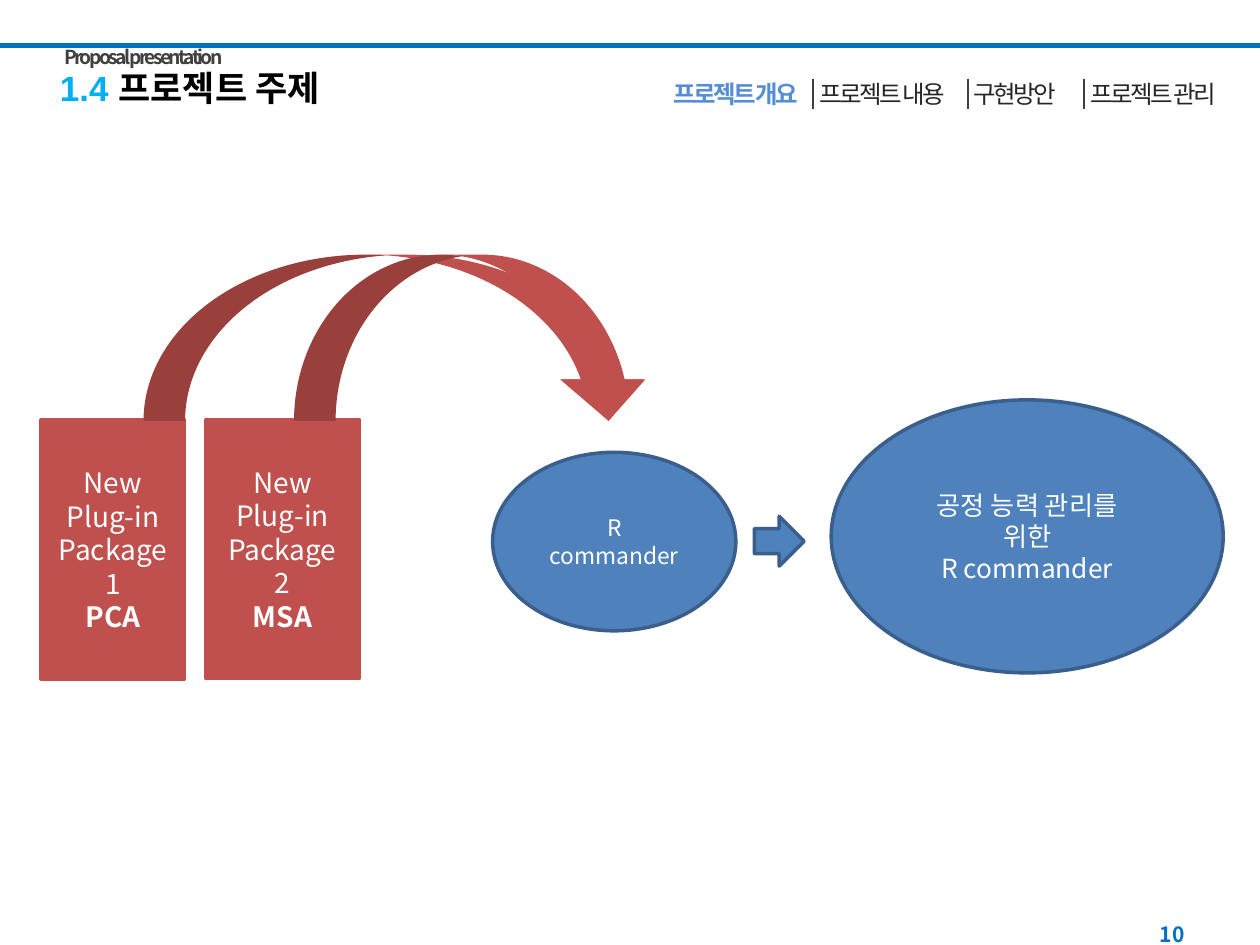
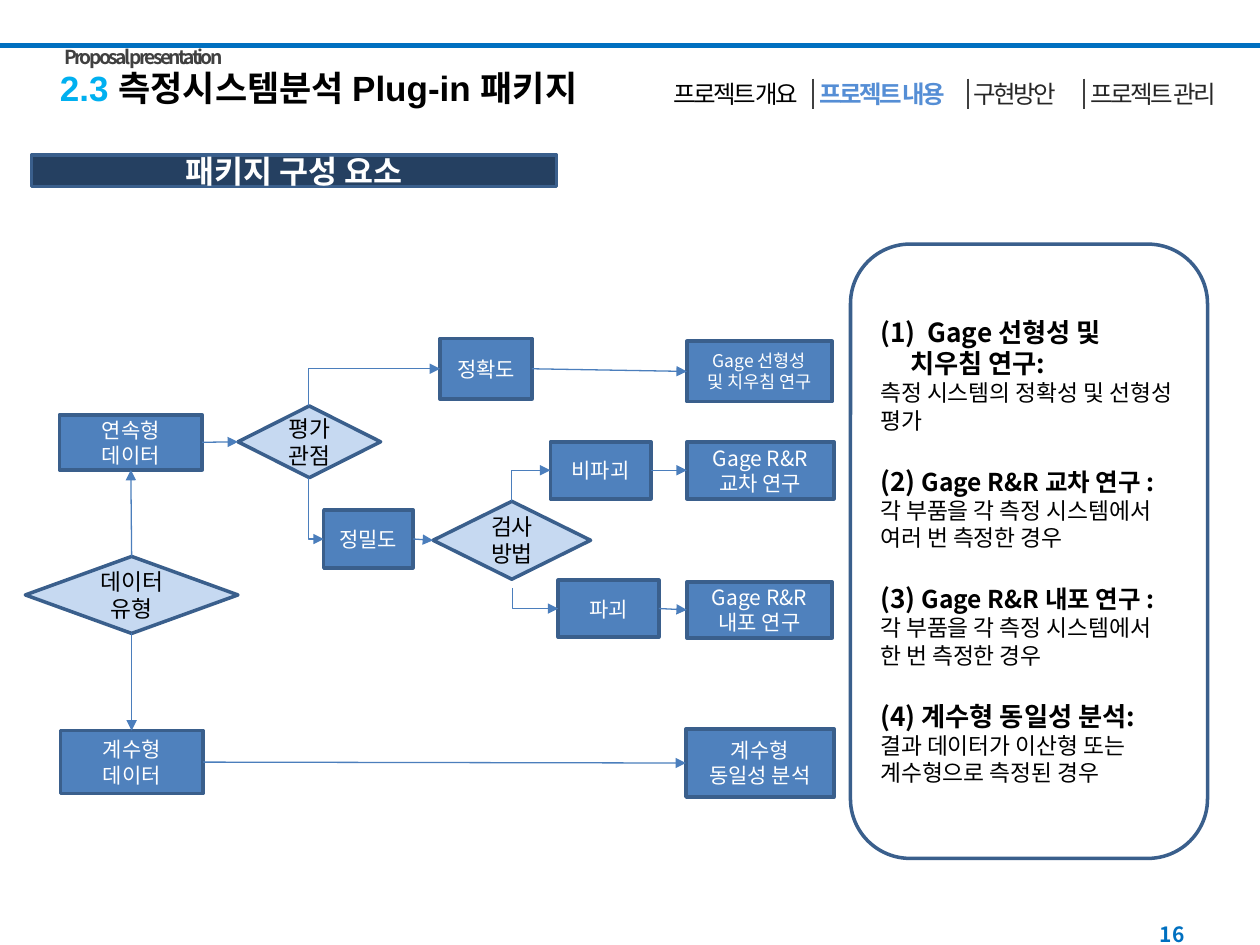
from dataclasses import dataclass
from typing import Any, NamedTuple, Optional

from lxml import etree
from pptx import Presentation
from pptx.dml.color import RGBColor
from pptx.enum.shapes import MSO_CONNECTOR, MSO_SHAPE
from pptx.enum.text import MSO_ANCHOR, MSO_AUTO_SIZE, PP_ALIGN
from pptx.oxml.ns import qn
from pptx.util import Pt

LEFT, CENTER, RIGHT = PP_ALIGN.LEFT, PP_ALIGN.CENTER, PP_ALIGN.RIGHT
TOP, MIDDLE = MSO_ANCHOR.TOP, MSO_ANCHOR.MIDDLE
NO_AUTO_SIZE = MSO_AUTO_SIZE.NONE
STRAIGHT, ELBOW = MSO_CONNECTOR.STRAIGHT, MSO_CONNECTOR.ELBOW
PROCESS, DECISION = MSO_SHAPE.FLOWCHART_PROCESS, MSO_SHAPE.FLOWCHART_DECISION
RECTANGLE, OVAL = MSO_SHAPE.RECTANGLE, MSO_SHAPE.OVAL
ROUNDED = MSO_SHAPE.ROUNDED_RECTANGLE
RIGHT_ARROW, CURVED_ARROW = MSO_SHAPE.RIGHT_ARROW, MSO_SHAPE.CURVED_DOWN_ARROW
SIDE_TOP, SIDE_LEFT, SIDE_BOTTOM, SIDE_RIGHT = range(4)

KOREAN_FONT, TITLE_FONT = "Noto Sans CJK KR", "Arial"
BLACK, WHITE = "000000", "FFFFFF"
BAND, TITLE_NUMBER, ACTIVE_TAB = "0070C0", "00B0F0", "558ED5"
DARK_TEXT, GREY = "262626", "404040"
RED, BLUE, OUTLINE = "C0504D", "4F81BD", "3A5F8C"
NAVY, PALE_BLUE, ARROW = "254061", "C6D9F1", "4B7EBC"
LINE_PITCH = 1.2


class Box(NamedTuple):
    left: float
    top: float
    width: float
    height: float


@dataclass
class Span:
    text: str
    size: float
    color: str = WHITE
    bold: bool = False
    font: str = KOREAN_FONT
    tracking: float = 0


@dataclass
class Line:
    spans: list[Span]
    gap: float = 0
    margin: float = 0
    indent: float = 0
    bullet: Optional[str] = None


@dataclass
class Figure:
    kind: Any
    box: Box
    lines: list[Line]
    fill: Optional[str] = BLUE
    outline: Optional[str] = OUTLINE


class Tab(NamedTuple):
    text: str
    left: float
    width: float
    color: str = DARK_TEXT


class Link(NamedTuple):
    start: str
    start_side: int
    end: str
    end_side: int


class Elbow(NamedTuple):
    """A line that runs vertically, then horizontally."""
    x1: float
    y1: float
    x2: float
    y2: float


TABS = [
    Tab("프로젝트 개요", 359.5, 122, BLACK),
    Tab("프로젝트 내용", 456, 96.5),
    Tab("구현방안", 541.5, 77),
    Tab("프로젝트 관리", 612.5, 93.5),
]
TAB_DIVIDERS = [464.5, 553, 619.5]


def rgb(color: str) -> RGBColor:
    return RGBColor.from_string(color)


def set_values(target: Any, values: dict[str, Any]) -> None:
    for name, value in values.items():
        setattr(target, name, value)


def plain(*texts: str, size: float, color: str = WHITE) -> list[Line]:
    return [Line([Span(text, size, color)]) for text in texts]


def add_span(paragraph: Any, span: Span) -> None:
    run = paragraph.add_run()
    run.text = span.text
    set_values(run.font, {"name": span.font, "size": Pt(span.size), "bold": span.bold})
    run.font.color.rgb = rgb(span.color)
    properties = run.font._element
    etree.SubElement(properties, qn("a:ea"), typeface=KOREAN_FONT)
    if span.tracking:
        properties.set("spc", str(round(span.tracking * 100)))


def write(shape: Any, lines: list[Line], align: Any = CENTER, anchor: Any = MIDDLE,
          wrap: bool = True, left_inset: float = 7.2, right_inset: float = 7.2) -> None:
    frame = shape.text_frame
    set_values(frame, {
        "word_wrap": wrap, "auto_size": NO_AUTO_SIZE, "vertical_anchor": anchor,
        "margin_left": Pt(left_inset), "margin_right": Pt(right_inset),
        "margin_top": Pt(3.6), "margin_bottom": Pt(3.6),
    })
    for index, line in enumerate(lines):
        paragraph = frame.add_paragraph() if index else frame.paragraphs[0]
        properties = paragraph._p.get_or_add_pPr()
        properties.set("marL", str(Pt(line.margin)))
        properties.set("indent", str(Pt(line.indent)))
        if line.bullet:
            etree.SubElement(properties, qn("a:buAutoNum"), type=line.bullet)
        else:
            etree.SubElement(properties, qn("a:buNone"))
        largest = max(span.size for span in line.spans)
        set_values(paragraph, {
            "alignment": align, "space_before": Pt(line.gap), "space_after": Pt(0),
            "line_spacing": Pt(round(largest * LINE_PITCH, 1)),
        })
        for span in line.spans:
            add_span(paragraph, span)


def place(shape: Any, box: Box) -> None:
    set_values(shape, {name: Pt(value) for name, value in box._asdict().items()})


def add_text(slide: Any, box: Box, span: Span, **layout: Any) -> None:
    shape = slide.shapes.add_textbox(*map(Pt, box))
    write(shape, [Line([span])], **layout)


def add_figure(slide: Any, figure: Figure) -> Any:
    shape = slide.shapes.add_shape(figure.kind, *map(Pt, figure.box))
    shape.shadow.inherit = False
    if figure.fill:
        shape.fill.solid()
        shape.fill.fore_color.rgb = rgb(figure.fill)
    else:
        shape.fill.background()
    if figure.outline:
        shape.line.color.rgb = rgb(figure.outline)
        shape.line.width = Pt(2)
    else:
        shape.line.fill.background()
    if figure.lines:
        write(shape, figure.lines)
    return shape


def add_line(slide: Any, ends: tuple[float, ...], color: str, width: float,
             kind: Any = STRAIGHT, arrow: bool = False) -> Any:
    connector = slide.shapes.add_connector(kind, *map(Pt, ends))
    connector.line.color.rgb = rgb(color)
    connector.line.width = Pt(width)
    if arrow:
        etree.SubElement(connector.line._get_or_add_ln(), qn("a:tailEnd"), type="triangle")
    etree.SubElement(connector._element.spPr, qn("a:effectLst"))
    return connector


def add_link(slide: Any, shapes: dict[str, Any], link: Link) -> None:
    connector = add_line(slide, (0, 0, 0, 0), ARROW, 0.75, arrow=True)
    connector.begin_connect(shapes[link.start], link.start_side)
    connector.end_connect(shapes[link.end], link.end_side)


def add_elbow(slide: Any, elbow: Elbow) -> None:
    connector = add_line(slide, elbow, ARROW, 0.75, ELBOW, arrow=True)
    geometry = connector._element.spPr.find(qn("a:prstGeom"))
    adjustments = geometry.find(qn("a:avLst"))
    etree.SubElement(adjustments, qn("a:gd"), name="adj1", fmla="val 0")


def start_slide(presentation: Any, layout: int, number: str, title: str,
                title_width: float, page: str, active_tab: int) -> Any:
    slide = presentation.slides.add_slide(presentation.slide_layouts[layout])
    add_line(slide, (0, 25.8, 720, 25.8), BAND, 3)
    add_text(slide, Box(516, 519, 168, 29), Span(page, 12, BAND, True), align=RIGHT)
    place(slide.shapes.title, Box(27, 34.5, title_width, 31.5))
    write(slide.shapes.title, [Line([
        Span(f"{number} ", 20, TITLE_NUMBER, True, TITLE_FONT),
        Span(title, 20, BLACK, True, TITLE_FONT),
    ])], align=LEFT, anchor=TOP)
    for index, tab in enumerate(TABS):
        active = index == active_tab
        color = ACTIVE_TAB if active else tab.color
        add_text(slide, Box(tab.left, 41.5, tab.width, 24.5),
                 Span(tab.text, 14, color, active, tracking=-1.5), anchor=TOP, wrap=False)
    for x in TAB_DIVIDERS:
        add_line(slide, (x, 45, x, 62.5), GREY, 1)
    add_text(slide, Box(29.5, 22.5, 175.5, 21),
             Span("Proposal presentation", 11, GREY, True, tracking=-1.5),
             align=LEFT, anchor=TOP)
    return slide


def build_topic_slide(presentation: Any) -> None:
    slide = start_slide(presentation, 5, "1.4", "프로젝트 주제", 282, "10", 0)

    def package(box: Box, number: int, method: str) -> Figure:
        lines = plain("New", "Plug-in", f"Package {number}", size=16)
        return Figure(RECTANGLE, box, lines + [Line([Span(method, 16, bold=True)])], RED, RED)

    figures = [
        package(Box(23.5, 240, 82, 148), 1, "PCA"),
        package(Box(117.5, 240, 88, 147.5), 2, "MSA"),
        Figure(OVAL, Box(281.5, 258.5, 139, 102), plain("R commander", size=13)),
        Figure(OVAL, Box(475, 228.5, 224, 156),
               plain("공정 능력 관리를", "위한", "R commander", size=15)),
        Figure(RIGHT_ARROW, Box(431, 295, 28.5, 28.5), []),
        Figure(CURVED_ARROW, Box(82, 145.5, 289.5, 95), [], RED, None),
        Figure(CURVED_ARROW, Box(168, 145.5, 203.5, 95), [], RED, None),
    ]
    for figure in figures:
        add_figure(slide, figure)


def study(number: str, name: str, description: str, name_size: float = 14) -> list[Line]:
    return [
        Line([Span(f"{number} ", 15, BLACK, True), Span(name, name_size, BLACK, True)], gap=18),
        Line([Span(description, 13, BLACK)]),
    ]


def build_package_slide(presentation: Any) -> None:
    slide = start_slide(presentation, 1, "2.3", "측정시스템분석 Plug-in 패키지", 354, "16", 1)
    add_figure(slide, Figure(PROCESS, Box(18, 88.5, 300, 18),
                             [Line([Span("패키지 구성 요소", 18, bold=True)])], NAVY))

    panel = Box(486, 139.5, 204, 351)
    add_figure(slide, Figure(ROUNDED, panel, [], None))
    studies = slide.placeholders[1]
    place(studies, panel)
    write(studies, [
        Line([Span("Gage 선형성 및", 15, BLACK, True)],
             margin=27, indent=-27, bullet="arabicParenBoth"),
        Line([Span("치우침 연구:", 15, BLACK, True)], margin=17),
        Line([Span("측정 시스템의 정확성 및 선형성 평가", 13, BLACK)]),
        *study("(2)", "Gage R&R 교차 연구 :", "각 부품을 각 측정 시스템에서 여러 번 측정한 경우"),
        *study("(3)", "Gage R&R 내포 연구 :", "각 부품을 각 측정 시스템에서 한 번 측정한 경우"),
        *study("(4)", "계수형 동일성 분석:", "결과 데이터가 이산형 또는 계수형으로 측정된 경우", 15),
    ], align=LEFT, left_inset=17, right_inset=19)

    def process(box: Box, *texts: str, size: float = 12) -> Figure:
        return Figure(PROCESS, box, plain(*texts, size=size))

    def decision(box: Box, text: str) -> Figure:
        return Figure(DECISION, box, plain(text, size=13, color=BLACK), PALE_BLUE)

    nodes = {
        "continuous": process(Box(34, 237, 81.5, 31.5), "연속형", "데이터"),
        "attribute": process(Box(34.5, 417.5, 81.5, 36), "계수형", "데이터"),
        "crossed": process(Box(392.5, 252.5, 84, 32.5), "Gage R&R", "교차 연구"),
        "nested": process(Box(392.5, 332.5, 83, 32), "Gage R&R", "내포 연구"),
        "data type": decision(Box(14.5, 318, 121.5, 44), "데이터유형"),
        "viewpoint": decision(Box(136, 232, 81.5, 41), "평가 관점"),
        "method": decision(Box(247.5, 286.5, 90, 44.5), "검사방법"),
        "linearity": process(Box(392.5, 195, 83, 34.5), "Gage 선형성", "및 치우침 연구", size=10),
        "accuracy": process(Box(251.5, 193.5, 52.5, 34.5), "정확도"),
        "homogeneity": process(Box(392, 416.5, 84.5, 39), "계수형", "동일성 분석"),
        "nondestructive": process(Box(314.5, 252.5, 57.5, 32.5), "비파괴"),
        "destructive": process(Box(319, 331.5, 57.5, 32.5), "파괴"),
        "precision": process(Box(185, 291.5, 51, 33), "정밀도"),
    }
    shapes = {name: add_figure(slide, node) for name, node in nodes.items()}

    add_link(slide, shapes, Link("data type", SIDE_TOP, "continuous", SIDE_BOTTOM))
    add_link(slide, shapes, Link("data type", SIDE_BOTTOM, "attribute", SIDE_TOP))
    for start, end in [
        ("continuous", "viewpoint"), ("attribute", "homogeneity"),
        ("accuracy", "linearity"), ("nondestructive", "crossed"),
        ("destructive", "nested"), ("precision", "method"),
    ]:
        add_link(slide, shapes, Link(start, SIDE_RIGHT, end, SIDE_LEFT))
    for elbow in [
        Elbow(176.5, 232, 251.5, 210.75), Elbow(176.5, 273, 185, 308),
        Elbow(292.5, 286.5, 314.5, 268.75), Elbow(293, 336, 319, 347.75),
    ]:
        add_elbow(slide, elbow)


def main() -> None:
    presentation = Presentation()
    set_values(presentation, {"slide_width": Pt(720), "slide_height": Pt(540)})
    build_topic_slide(presentation)
    build_package_slide(presentation)
    presentation.save("out.pptx")


if __name__ == "__main__":
    main()
